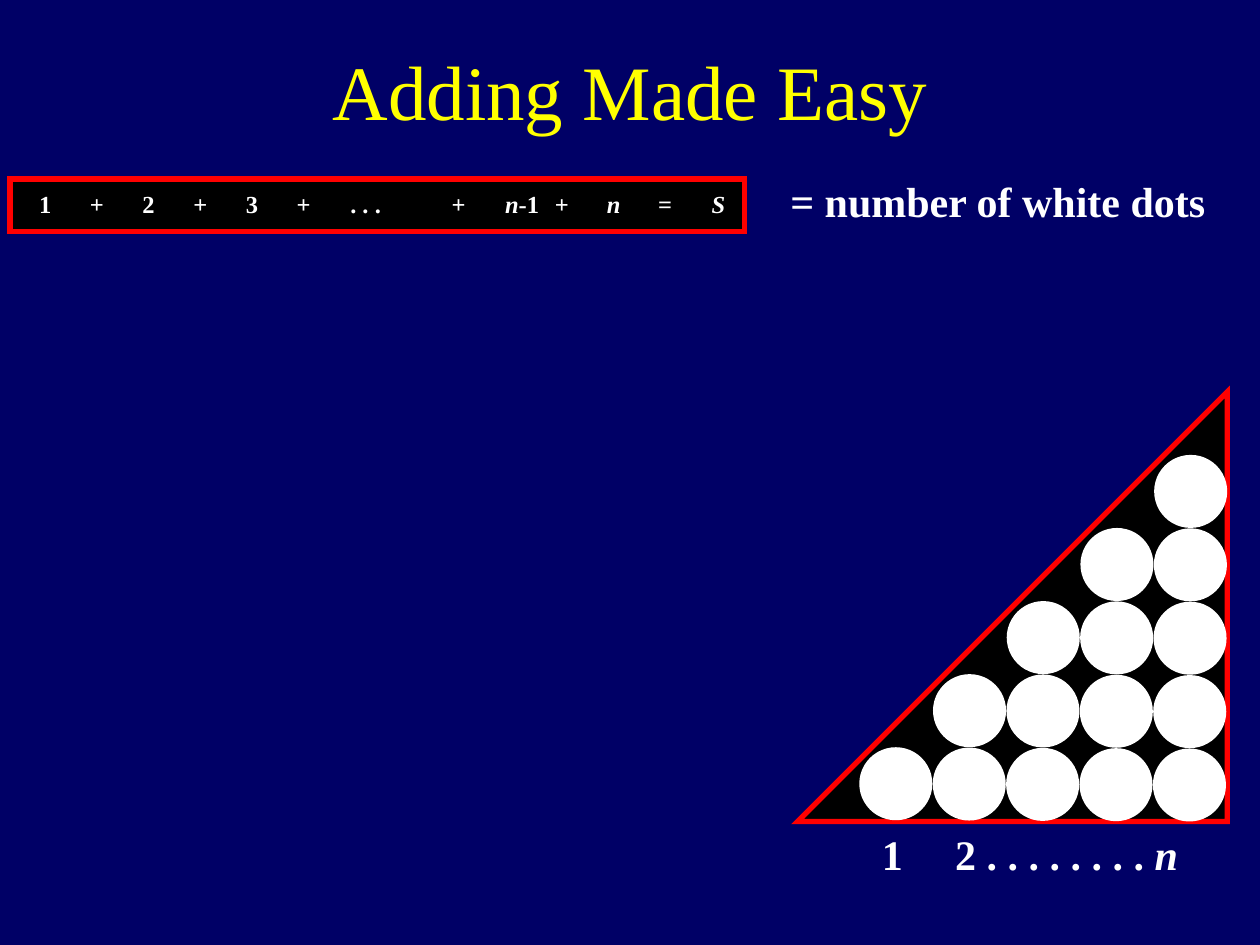
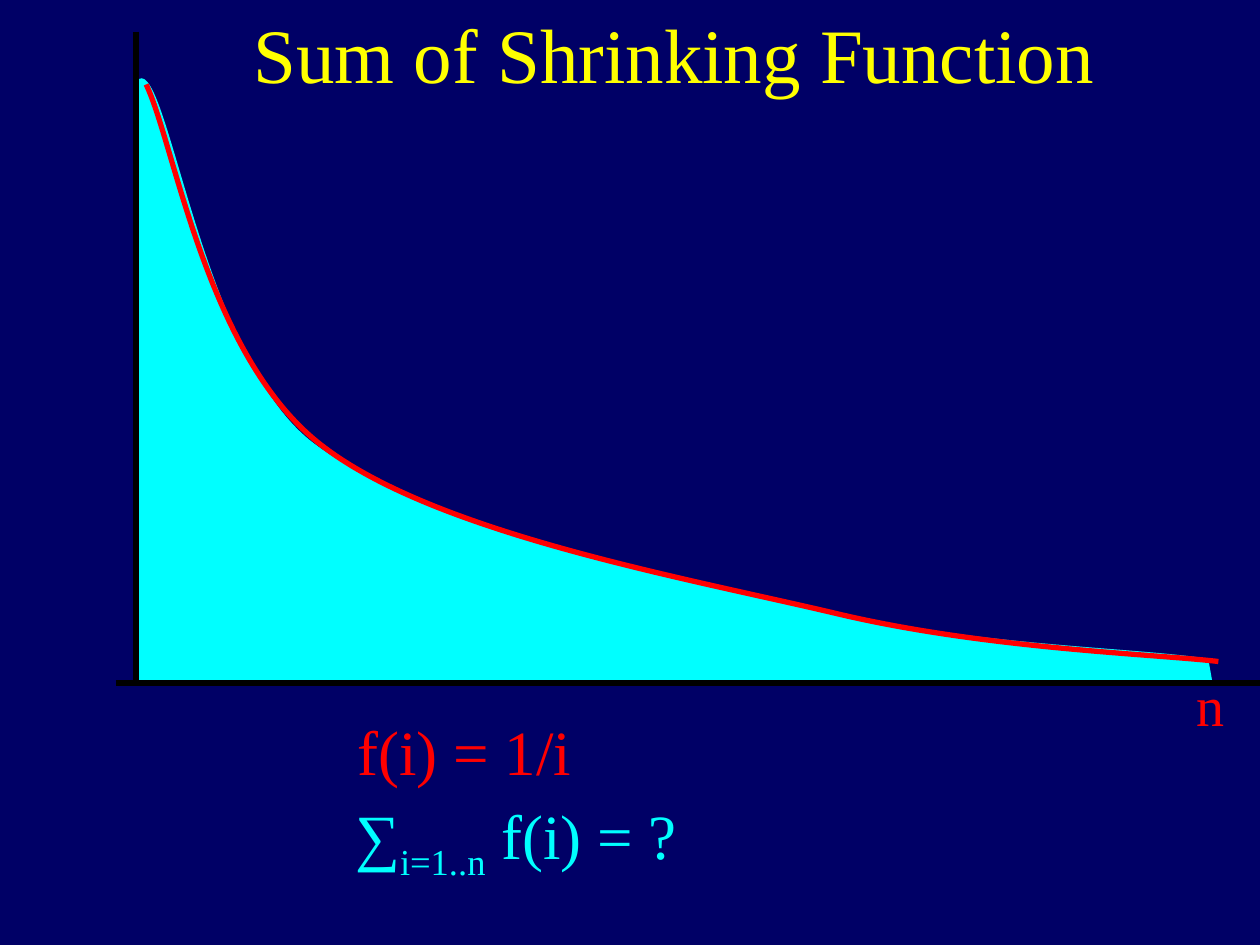
"""Build two slides: a triangle of dots for 1 + ... + n, and the area under 1/i."""
from lxml.etree import SubElement
from pptx import Presentation
from pptx.dml.color import RGBColor
from pptx.enum.shapes import MSO_CONNECTOR, MSO_SHAPE
from pptx.enum.text import MSO_ANCHOR as Anchor, PP_ALIGN as Align
from pptx.oxml.ns import qn
from pptx.util import Inches, Pt

FONT = "Times New Roman"
COLORS = {"background": "000066", "title": "FFFF00", "text": "FFFFFF",
          "line": "FF0000", "area": "00FFFF", "black": "000000"}
SLIDE_SIZE = (10, 7.5)
LINE_WIDTH = 3

ITALIC, SUBSCRIPT = "italic", "subscript"
SUM_TERMS = [
    (0, ["1"]), (1, ["+"]), (2, ["2"]), (3, ["+"]), (4, ["3"]), (5, ["+"]),
    (6.2, [". . ."]), (8, ["+"]), (9.23, [("n", ITALIC), "-1"]), (10, ["+"]),
    (11, [("n", ITALIC)]), (12, ["="]), (13.03, [("S", ITALIC)]),
]
TERM_START, TERM_PITCH, TERM_WIDTH = 0.36, 0.41, 0.3
DOT_ROWS, DOT_SIZE = 5, 0.58
DOTS_LEFT, DOTS_TOP, DOTS_SPAN = 6.82, 3.61, 2.33
DOT_PITCH = DOTS_SPAN / (DOT_ROWS - 1)
DOTS_TILT = 0.01 / (DOT_ROWS - 1)

AXES = [((1.08, 0.25), (1.08, 5.42)), ((0.92, 5.42), (10, 5.42))]
AREA = [
    (2.48, 3.51),
    [(3.4, 4.21), (5.38, 4.56), (6.57, 4.85)],
    [(7.75, 5.13), (9.08, 5.14), (9.59, 5.23)],
    [(9.62, 5.4)],
    [(1.08, 5.4)],
    [(1.08, 0.65)],
    [(1.32, 0.33), (1.57, 2.81), (2.48, 3.51)],
]
CURVE = [
    (1.16, 0.67),
    [(1.39, 1.15), (1.64, 2.84), (2.56, 3.54)],
    [(3.47, 4.24), (5.46, 4.59), (6.64, 4.87)],
    [(7.82, 5.15), (9.16, 5.19), (9.67, 5.25)],
]
FORMULAS = [
    ((2.74, 5.61, 1.9, 0.7), ["f(i) = 1/i"], 36, "line"),
    ((2.72, 6.27, 2.75, 0.79), ["∑", ("i=1..n", SUBSCRIPT), " f(i) = ?"], 36, "area"),
    ((9.4, 5.27, 0.42, 0.64), ["n"], 32, "line"),
]


def color(name):
    return RGBColor.from_string(COLORS[name])


def inches(values):
    return [Inches(value) for value in values]


def style_font(font, size, color_name, bold=False):
    font.name, font.size, font.bold = FONT, Pt(size), bold
    font.color.rgb = color(color_name)


def style_shape(shape, fill=None, line=None):
    shape.shadow.inherit = False
    if fill:
        shape.fill.solid()
        shape.fill.fore_color.rgb = color(fill)
    else:
        shape.fill.background()
    if line:
        shape.line.color.rgb = color(line)
        shape.line.width = Pt(LINE_WIDTH)
        SubElement(shape.line._get_or_add_ln(), qn("a:miter"), lim="800000")
    else:
        shape.line.fill.background()


def add_slide(presentation, title, box, align):
    slide = presentation.slides.add_slide(presentation.slide_layouts[5])
    placeholder = slide.shapes.title
    placeholder.left, placeholder.top, placeholder.width, placeholder.height = inches(box)
    frame = placeholder.text_frame
    frame.text = title
    frame.vertical_anchor = Anchor.MIDDLE
    paragraph = frame.paragraphs[0]
    paragraph.alignment = align
    style_font(paragraph.runs[0].font, 44, "title")
    return slide


def add_text(slide, box, parts, size, color_name="text", bold=False,
             align=Align.LEFT, inset=True, tab=None):
    frame = slide.shapes.add_textbox(*inches(box)).text_frame
    frame.word_wrap = False
    if not inset:
        frame.margin_left = frame.margin_right = frame.margin_top = frame.margin_bottom = 0
    paragraph = frame.paragraphs[0]
    paragraph.alignment = align
    if tab:
        tabs = SubElement(paragraph._p.get_or_add_pPr(), qn("a:tabLst"))
        SubElement(tabs, qn("a:tab"), pos=str(Inches(tab)), algn="l")
    for part in parts:
        text, style = (part, None) if isinstance(part, str) else part
        run = paragraph.add_run()
        run.text = text
        style_font(run.font, size, color_name, bold)
        run.font.italic = style == ITALIC
        if style == SUBSCRIPT:
            run._r.get_or_add_rPr().set("baseline", "-25000")
    return frame


def add_preset(shapes, kind, box, fill, line=None, rotation=0):
    shape = shapes.add_shape(kind, *inches(box))
    shape.rotation = rotation
    style_shape(shape, fill, line)


def add_axis(slide, start, end):
    axis = slide.shapes.add_connector(MSO_CONNECTOR.STRAIGHT, *inches(start + end))
    axis.line.color.rgb = color("black")
    axis.line.width = Pt(LINE_WIDTH)
    SubElement(axis._element.spPr, qn("a:effectLst"))


def add_outline(slide, outline, close, fill=None, line=None):
    start, *segments = outline
    builder = slide.shapes.build_freeform(*inches(start))
    builder.add_line_segments([inches(point) for segment in segments for point in segment], close=close)
    shape = builder.convert_to_shape()
    straight_steps = iter(list(shape._element.iter(qn("a:lnTo"))))
    for segment in segments:
        steps = [next(straight_steps) for _ in segment]
        if len(steps) == 3:
            curve = steps[0].makeelement(qn("a:cubicBezTo"))
            steps[0].addprevious(curve)
            for step in steps:
                curve.append(step[0])
                step.getparent().remove(step)
    style_shape(shape, fill, line)


def build_dots_slide(presentation):
    slide = add_slide(presentation, "Adding Made Easy", (0.75, 0.09, 8.5, 1.25), Align.CENTER)
    add_preset(slide.shapes, MSO_SHAPE.RIGHT_TRIANGLE, (6.33, 3.11, 3.41, 3.41), "black", "line", 270)
    add_preset(slide.shapes, MSO_SHAPE.RECTANGLE, (0.08, 1.42, 5.83, 0.42), "black", "line")

    dots = slide.shapes.add_group_shape()
    last = DOT_ROWS - 1
    for row in range(DOT_ROWS):
        for column in range(last - row, DOT_ROWS):
            left = DOTS_LEFT + column * DOT_PITCH + (last - row) * DOTS_TILT
            top = DOTS_TOP + row * DOT_PITCH - (last - column) * DOTS_TILT
            add_preset(dots.shapes, MSO_SHAPE.OVAL, (left, top, DOT_SIZE, DOT_SIZE), "text", rotation=180.2)

    for slot, parts in SUM_TERMS:
        left = TERM_START + slot * TERM_PITCH - TERM_WIDTH / 2
        add_text(slide, (left, 1.5, TERM_WIDTH, 0.23), parts, 14,
                 bold=True, align=Align.CENTER, inset=False)
    add_text(slide, (6.17, 1.34, 3.5, 0.5), ["= number of white dots"], 24,
             bold=True, align=Align.CENTER)
    labels = add_text(slide, (6.9, 6.53, 2.64, 0.5), ["1\t2 . . . . . . . . ", ("n", ITALIC)], 24,
                      bold=True, tab=DOT_PITCH)
    labels.word_wrap = True


def build_curve_slide(presentation):
    slide = add_slide(presentation, "Sum of Shrinking Function", (1.59, 0, 7.2, 0.84), Align.RIGHT)
    add_outline(slide, AREA, True, fill="area")
    add_outline(slide, CURVE, False, line="line")
    for start, end in AXES:
        add_axis(slide, start, end)
    for box, parts, size, color_name in FORMULAS:
        add_text(slide, box, parts, size, color_name)


def main():
    presentation = Presentation()
    presentation.slide_width, presentation.slide_height = inches(SLIDE_SIZE)
    background = presentation.slide_master.background.fill
    background.solid()
    background.fore_color.rgb = color("background")
    build_dots_slide(presentation)
    build_curve_slide(presentation)
    presentation.save("out.pptx")


if __name__ == "__main__":
    main()
